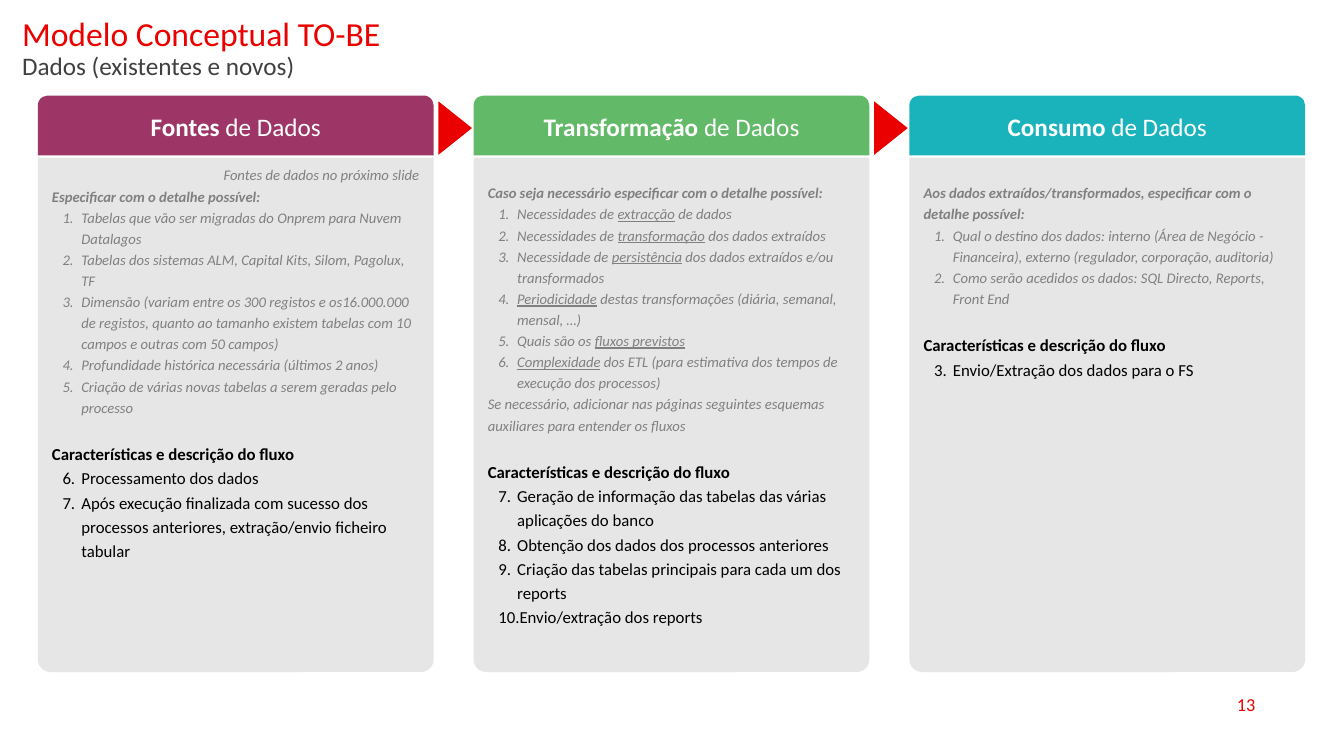
from pptx import Presentation
from pptx.dml.color import RGBColor
from pptx.enum.shapes import MSO_SHAPE
from pptx.enum.text import MSO_ANCHOR, PP_ALIGN
from pptx.oxml.ns import qn
from pptx.util import Pt
from lxml.etree import SubElement

FONT = "Calibri"
RED, GREY, PALE = "EB0000", "808080", "E7E6E6"
LEFT, STEP, WIDE = 36, 415, 377
FLOW = "Características e descrição do fluxo"
COLUMNS = [
    {"head": ("Fontes", " de Dados"), "color": "9D3566", "top": 5,
     "note": "Fontes de dados no próximo slide",
     "lead": "Especificar com o detalhe possível:",
     "asks": ["Tabelas que vão ser migradas do Onprem para Nuvem Datalagos",
              "Tabelas dos sistemas ALM, Capital Kits, Silom, Pagolux, TF",
              "Dimensão (variam entre os 300 registos e os16.000.000 de registos, "
              "quanto ao tamanho existem tabelas com 10 campos e outras com 50 campos)",
              "Profundidade histórica necessária (últimos 2 anos)",
              "Criação de várias novas tabelas a serem geradas pelo processo"],
     "close": "",
     "flow": ["Processamento dos dados",
              "Após execução finalizada com sucesso dos processos anteriores, "
              "extração/envio ficheiro tabular"]},
    {"head": ("Transformação", " de Dados"), "color": "62B967", "top": 22,
     "note": "",
     "lead": "Caso seja necessário especificar com o detalhe possível:",
     "asks": ["Necessidades de _extracção_ de dados",
              "Necessidades de _transformação_ dos dados extraídos",
              "Necessidade de _persistência_ dos dados extraídos e/ou transformados",
              "_Periodicidade_ destas transformações (diária, semanal, mensal, …)",
              "Quais são os _fluxos previstos_",
              "_Complexidade_ dos ETL (para estimativa dos tempos de execução dos processos)"],
     "close": "Se necessário, adicionar nas páginas seguintes esquemas auxiliares "
              "para entender os fluxos",
     "flow": ["Geração de informação das tabelas das várias aplicações do banco",
              "Obtenção dos dados dos processos anteriores",
              "Criação das tabelas principais para cada um dos reports",
              "Envio/extração dos reports"]},
    {"head": ("Consumo", " de Dados"), "color": "1AB2BB", "top": 22,
     "note": "",
     "lead": "Aos dados extraídos/transformados, especificar com o detalhe possível:",
     "asks": ["Qual o destino dos dados: interno (Área de Negócio - Financeira), "
              "externo (regulador, corporação, auditoria)",
              "Como serão acedidos os dados: SQL Directo, Reports, Front End"],
     "close": "",
     "flow": ["Envio/Extração dos dados para o FS"]},
]


def px(n):
    return int(n * 9525)


def rgb(code):
    return RGBColor.from_string(code)


def style(font, size, color, bold=False, italic=False):
    font.name, font.size = FONT, Pt(size)
    font.color.rgb = rgb(color)
    font.bold, font.italic = bold, italic


def inset(frame, side, top):
    frame.word_wrap = True
    frame.margin_left = frame.margin_right = px(side)
    frame.margin_top = frame.margin_bottom = px(top)


def block(slide, kind, box, color):
    shape = slide.shapes.add_shape(kind, *map(px, box))
    shape.shadow.inherit = False
    shape.fill.solid()
    shape.fill.fore_color.rgb = rgb(color)
    shape.line.fill.background()
    return shape


def add_title(slide, box):
    title = slide.shapes.title
    title.left, title.top, title.width, title.height = map(px, box)
    frame = title.text_frame
    frame.text = "Modelo Conceptual TO-BE\vDados (existentes e novos)"
    inset(frame, 9, 5)
    frame.vertical_anchor = MSO_ANCHOR.TOP
    para = frame.paragraphs[0]
    para.alignment = PP_ALIGN.LEFT
    para.line_spacing = 0.9
    for run, size, color in zip(para.runs, (24, 18), (RED, "404040")):
        style(run.font, size, color)


def add_head(slide, box, col):
    shape = block(slide, MSO_SHAPE.ROUND_2_SAME_RECTANGLE, box, col["color"])
    frame = shape.text_frame
    frame.vertical_anchor = MSO_ANCHOR.MIDDLE
    para = frame.paragraphs[0]
    para.alignment = PP_ALIGN.CENTER
    for part, bold in zip(col["head"], (True, False)):
        run = para.add_run()
        run.text = part
        style(run.font, 18, "FFFFFF", bold)


def number(para, start):
    props = para._p.get_or_add_pPr()
    props.set("marL", str(px(28)))
    props.set("indent", str(px(-18)))
    mark = SubElement(props, qn("a:buFont"))
    mark.set("typeface", "+mj-lt")
    auto = SubElement(props, qn("a:buAutoNum"))
    auto.set("type", "arabicPeriod")
    if start > 1:
        auto.set("startAt", str(start))


def add_body(slide, box, col):
    shape = block(slide, MSO_SHAPE.ROUND_2_SAME_RECTANGLE, box, PALE)
    shape.adjustments[0], shape.adjustments[1] = 0, 0.032
    frame = shape.text_frame
    inset(frame, 10, col["top"])
    frame.vertical_anchor = MSO_ANCHOR.TOP
    hint, plain = (10.5, GREY, False, True), (12, "000000")
    first = len(col["asks"]) + 1
    rows = [(col["note"], hint, 0), (col["lead"], (10.5, GREY, True, True), 0)]
    rows += [(ask, hint, 1) for ask in col["asks"]]
    rows += [(col["close"], hint, 0), (FLOW, (12, "000000", True), 0)]
    rows += [(step, plain, first) for step in col["flow"]]
    rows = [row for row in rows if row[0]]
    for i, (text, look, start) in enumerate(rows):
        para = frame.add_paragraph() if i else frame.paragraphs[0]
        para.alignment = PP_ALIGN.RIGHT if text == col["note"] else PP_ALIGN.LEFT
        para.line_spacing = 1.2
        if text == FLOW:
            para.space_before = Pt(17)
        if start:
            number(para, start)
        for j, part in enumerate(text.split("_")):
            if part:
                run = para.add_run()
                run.text = part
                style(run.font, *look)
                run.font.underline = j % 2 == 1


def add_arrow(slide, box):
    block(slide, MSO_SHAPE.ISOSCELES_TRIANGLE, box, RED).rotation = 90


def add_page(slide, box):
    frame = slide.shapes.add_textbox(*map(px, box)).text_frame
    frame.text = "13"
    frame.word_wrap = True
    frame.vertical_anchor = MSO_ANCHOR.MIDDLE
    para = frame.paragraphs[0]
    para.alignment = PP_ALIGN.RIGHT
    style(para.runs[0].font, 13, RED)


def main():
    deck = Presentation()
    deck.slide_width, deck.slide_height = px(1280), px(720)
    slide = deck.slides.add_slide(deck.slide_layouts[5])
    add_title(slide, (12, 12, 649, 57))
    for i, col in enumerate(COLUMNS):
        left = LEFT + i * STEP
        add_body(slide, (left, 150, WIDE, 490), col)
        add_head(slide, (left, 91, WIDE, 57), col)
        if i:
            add_arrow(slide, (left - 43, 106, 51, 32))
    add_page(slide, (917, 652, 288, 38))
    deck.save("out.pptx")


if __name__ == "__main__":
    main()
